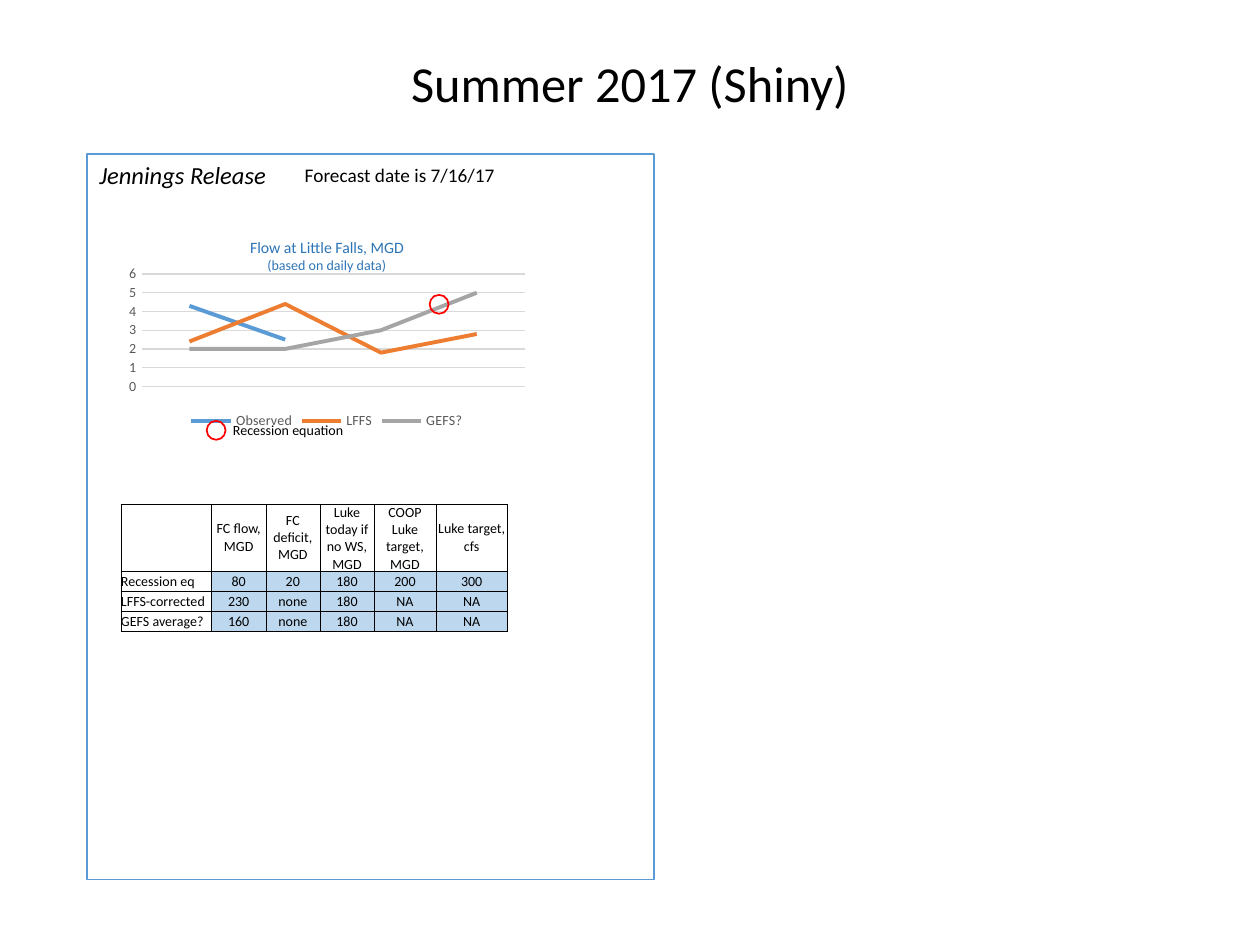
from lxml.etree import SubElement
from pptx import Presentation
from pptx.chart.data import CategoryChartData as Data
from pptx.dml.color import RGBColor as RGB
from pptx.enum.chart import XL_CHART_TYPE as Kind, XL_LEGEND_POSITION as Spot, XL_TICK_MARK as Tick
from pptx.enum.shapes import MSO_SHAPE as Form
from pptx.enum.text import MSO_ANCHOR as Anchor, PP_ALIGN as Align
from pptx.oxml.ns import qn
from pptx.util import Inches, Pt

FONT = "Calibri"
HUES = {"black": "000000", "white": "FFFFFF", "blue": "5B9BD5", "orange": "ED7D31",
        "gray": "A5A5A5", "dark": "595959", "grid": "D9D9D9", "head": "2E75B6",
        "red": "FF0000", "pale": "BDD7EE"}
LINES = [("Observed", (4.3, 2.5, None, None), "blue"),
         ("LFFS", (2.4, 4.4, 1.8, 2.8), "orange"),
         ("GEFS?", (2, 2, 3, 5), "gray")]
ROWS = [("", "FC flow, MGD", "FC deficit, MGD", "Luke today if no WS, MGD",
         "COOP Luke target, MGD", "Luke target, cfs"),
        ("Recession eq", "80", "20", "180", "200", "300"),
        ("LFFS-corrected", "230", "none", "180", "NA", "NA"),
        ("GEFS average?", "160", "none", "180", "NA", "NA")]
WIDTHS = (0.72, 0.43, 0.43, 0.43, 0.49, 0.57)
HEIGHTS = (0.53, 0.16, 0.16, 0.16)


def hue(name):
    """Return the named colour."""
    return RGB.from_string(HUES[name])


def style(font, size, name="black"):
    """Set the face, size and colour of a font."""
    font.name, font.size, font.color.rgb = FONT, Pt(size), hue(name)


def write(frame, text, sizes, name="black", align=Align.LEFT):
    """Fill a frame with lines of text, one size for each line."""
    frame.text = text
    for para, size in zip(frame.paragraphs, sizes):
        para.alignment = align
        style(para.font, size, name)
        for run in para.runs:
            style(run.font, size, name)


def label(slide, box, text, sizes, name="black", align=Align.LEFT, anchor=Anchor.TOP):
    """Add a text box."""
    frame = slide.shapes.add_textbox(*map(Inches, box)).text_frame
    frame.word_wrap, frame.vertical_anchor = True, anchor
    write(frame, text, sizes, name, align)


def outline(slide, form, box, name):
    """Add an unfilled shape with a thin line."""
    shape = slide.shapes.add_shape(form, *map(Inches, box))
    shape.shadow.inherit = False
    shape.fill.background()
    shape.line.color.rgb, shape.line.width = hue(name), Pt(1)
    return shape


def title(slide, box, text):
    """Place and format the slide title."""
    head = slide.shapes.title
    head.left, head.top, head.width, head.height = map(Inches, box)
    head.text_frame.vertical_anchor = Anchor.MIDDLE
    write(head.text_frame, text, [28.8], align=Align.CENTER)
    head.text_frame.paragraphs[0].line_spacing = 0.9


def plot(slide, left, top, width, height):
    """Draw the flow chart with its heading and circled forecast."""
    data = Data()
    data.categories = ["1", "2", "3", "4"]
    for name, vals, _ in LINES:
        data.add_series(name, vals)
    box = map(Inches, (left, top, width, height))
    chart = slide.shapes.add_chart(Kind.LINE, *box, data).chart
    style(chart.font, 10)
    chart.has_title = False
    chart.has_legend = True
    chart.legend.position = Spot.BOTTOM
    chart.legend.include_in_layout = False
    style(chart.legend.font, 8, "dark")
    chart.category_axis.visible = False
    axis = chart.value_axis
    axis.minimum_scale, axis.maximum_scale, axis.major_unit = 0, 6, 1
    axis.major_tick_mark = Tick.NONE
    axis.format.line.fill.background()
    style(axis.tick_labels.font, 8, "dark")
    grid = axis.major_gridlines.format.line
    grid.color.rgb, grid.width = hue("grid"), Pt(0.75)
    for series, (_, _, name) in zip(chart.plots[0].series, LINES):
        series.smooth = False
        line = series.format.line
        line.color.rgb, line.width = hue(name), Pt(2.25)
    label(slide, (left + 0.7, top - 0.19, 1.87, 0.27),
          "Flow at Little Falls, MGD\n(based on daily data)", (9, 8),
          "head", Align.CENTER, Anchor.MIDDLE)
    for x, y in ((2.45, 0.26), (0.68, 1.26)):
        outline(slide, Form.OVAL, (left + x, top + y, 0.15, 0.15), "red")
    label(slide, (left + 0.79, top + 1.22, 1.11, 0.24), "Recession equation", [8])


def border(cell):
    """Give a cell thin black edges."""
    props = cell._tc.get_or_add_tcPr()
    for side in ("lnL", "lnR", "lnT", "lnB"):
        edge = SubElement(props, qn("a:" + side), w=str(Pt(0.25)))
        fill = SubElement(edge, qn("a:solidFill"))
        SubElement(fill, qn("a:srgbClr"), val=HUES["black"])


def grid(slide, left, top):
    """Add the table of forecast flows and targets."""
    box = map(Inches, (left, top, sum(WIDTHS), sum(HEIGHTS)))
    table = slide.shapes.add_table(len(ROWS), len(WIDTHS), *box).table
    table.first_row = table.horz_banding = False
    for col, width in zip(table.columns, WIDTHS):
        col.width = Inches(width)
    for r, (row, height) in enumerate(zip(ROWS, HEIGHTS)):
        table.rows[r].height = Inches(height)
        for c, text in enumerate(row):
            cell = table.cell(r, c)
            cell.margin_left = cell.margin_right = cell.margin_top = cell.margin_bottom = 0
            cell.vertical_anchor = Anchor.MIDDLE
            write(cell.text_frame, text, [8], align=Align.CENTER if c else Align.LEFT)
            border(cell)
            if r and c:
                cell.fill.solid()
                cell.fill.fore_color.rgb = hue("pale")
            else:
                cell.fill.background()


def panel(slide, left, top, width, height):
    """Build the framed release panel with its chart and table."""
    card = outline(slide, Form.RECTANGLE, (left, top, width, height), "blue")
    card.fill.solid()
    card.fill.fore_color.rgb = hue("white")
    card.text_frame.vertical_anchor = Anchor.TOP
    write(card.text_frame, "Jennings Release", [14])
    card.text_frame.paragraphs[0].runs[0].font.italic = True
    plot(slide, left + 0.27, top + 0.86, 3.27, 1.37)
    label(slide, (left + 1.63, top + 0.03, 2.01, 0.29), "Forecast date is 7/16/17", [11])
    grid(slide, left + 0.27, top + 2.78)


def main():
    """Build and save the slide."""
    deck = Presentation()
    deck.slide_width, deck.slide_height = Inches(10), Inches(7.5)
    slide = deck.slides.add_slide(deck.slide_layouts[5])
    title(slide, (0.69, 0.4, 8.62, 0.57), "Summer 2017 (Shiny)")
    panel(slide, 0.69, 1.22, 4.5, 5.76)
    deck.save("out.pptx")


if __name__ == "__main__":
    main()
